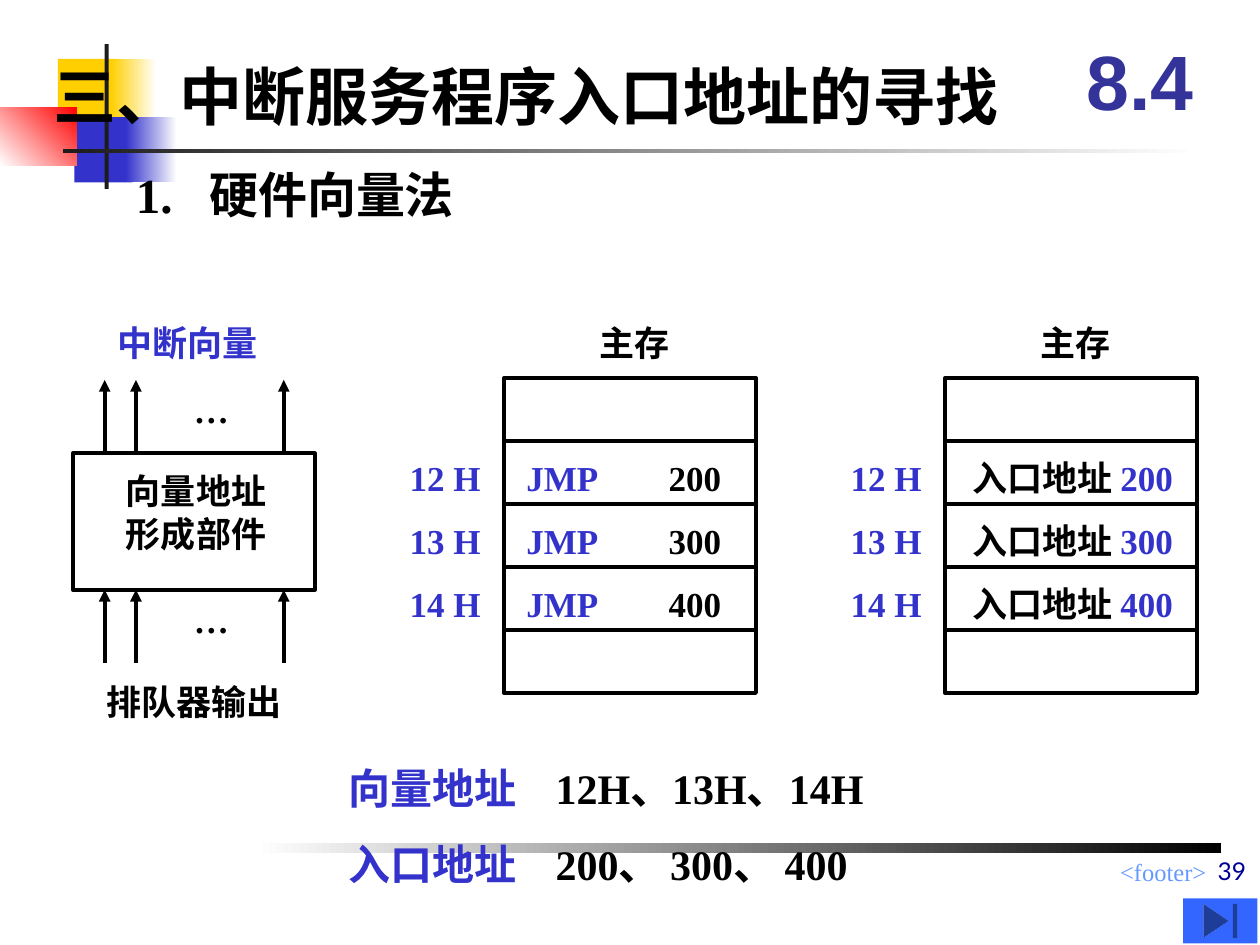
import pptx
import pptx.dml.color
import pptx.enum.shapes
import pptx.enum.text
import pptx.oxml.ns
import pptx.util
from lxml import etree

Cm, Pt = pptx.util.Cm, pptx.util.Pt
RGBColor = pptx.dml.color.RGBColor
MSO_SHAPE = pptx.enum.shapes.MSO_SHAPE
PP_ALIGN = pptx.enum.text.PP_ALIGN
MSO_ANCHOR = pptx.enum.text.MSO_ANCHOR
qn = pptx.oxml.ns.qn

BLACK = RGBColor(0x00, 0x00, 0x00)
WHITE = RGBColor(0xFF, 0xFF, 0xFF)
YELLOW = RGBColor(0xFF, 0xCF, 0x01)
BLUE = RGBColor(0x33, 0x33, 0xCC)
RED = RGBColor(0xFF, 0x00, 0x00)
CHARCOAL = RGBColor(0x1C, 0x1C, 0x1C)
FOOTER_BLUE = RGBColor(0x66, 0x99, 0xFF)
SECTION_BLUE = RGBColor(0x33, 0x33, 0x99)
NUMBER_BLUE = RGBColor(0x00, 0x00, 0x99)
BUTTON_BLUE = RGBColor(0x33, 0x66, 0xFF)

# All positions are (left, top, width, height) in centimetres.
# Decoration: position, start colour, end colour, gradient angle
DECORATION = [
    ((1.17, 1.19, 1.22, 1.32), YELLOW, None, 0),
    ((2.24, 1.19, 0.91, 1.32), YELLOW, WHITE, 0),
    ((1.5, 2.36, 1.17, 1.32), BLUE, None, 0),
    ((2.54, 2.36, 1.02, 1.32), BLUE, WHITE, 0),
    ((0, 2.16, 1.55, 1.17), RED, WHITE, 225),
    ((2.11, 0.89, 0.08, 2.92), CHARCOAL, None, 0),
    ((1.27, 3, 22.86, 0.08), CHARCOAL, WHITE, 0),
    ((5.13, 16.99, 19.48, 0.2), WHITE, BLACK, 0),
]

ADDRESSES = ["12 H", "13 H", "14 H"]
TARGETS = ["200", "300", "400"]
ROW_H, MEMORY_TOP, MEMORY_W, MEMORY_ROWS = 1.27, 7.62, 5.08, 5
# Memory: left edge, entry indent, label, label colour, target colour
MEMORIES = [
    (10.16, 0.2, "JMP\t", BLUE, BLACK),
    (19.05, 0.3, "入口地址 ", BLACK, BLUE),
]

ARROW_XS = [2.11, 2.74, 5.72]
ARROW_H = 1.48
UNIT_BOX = (1.47, 9.14, 4.88, 2.75)

SUMMARY = [
    [("向量地址\t", BLUE), ("12H、13H、14H", BLACK)],
    [("入口地址\t", BLUE), ("200、 300、 400", BLACK)],
]

prs = pptx.Presentation()
prs.slide_width, prs.slide_height = Cm(25.4), Cm(19.05)
s = prs.slides.add_slide(prs.slide_layouts[6])


def add_box(pos, kind=MSO_SHAPE.RECTANGLE):
    sp = s.shapes.add_shape(kind, *map(Cm, pos))
    sp.shadow.inherit = False
    sp.line.fill.background()
    return sp


def add_frame(pos):
    sp = add_box(pos)
    sp.fill.background()
    sp.line.color.rgb = BLACK
    sp.line.width = Pt(2.25)


def add_text(pos, paragraphs, size=20, font="Times New Roman", bold=True,
             align=PP_ALIGN.LEFT, anchor=MSO_ANCHOR.TOP, inset=0.25, before=0, tab=None):
    """Add a text box; each paragraph is a list of (text, colour) runs."""
    tf = s.shapes.add_textbox(*map(Cm, pos)).text_frame
    tf.word_wrap = True
    tf.vertical_anchor = anchor
    tf.margin_left = tf.margin_right = Cm(inset)
    for i, runs in enumerate(paragraphs):
        p = tf.add_paragraph() if i else tf.paragraphs[0]
        p.alignment = align
        p.space_before = Pt(before)
        if tab:
            tabs = etree.SubElement(p._p.get_or_add_pPr(), qn("a:tabLst"))
            etree.SubElement(tabs, qn("a:tab"), pos=str(Cm(tab)), algn="l")
        for text, color in runs:
            r = p.add_run()
            r.text = text
            r.font.size, r.font.name, r.font.bold = Pt(size), font, bold
            r.font.color.rgb = color


def add_up_arrow(x, bottom):
    line = s.shapes.add_connector(pptx.enum.shapes.MSO_CONNECTOR.STRAIGHT,
                                  Cm(x), Cm(bottom), Cm(x), Cm(bottom - ARROW_H))
    line.line.color.rgb = BLACK
    line.line.width = Pt(2.25)
    etree.SubElement(line.line._get_or_add_ln(), qn("a:tailEnd"), type="triangle")
    etree.SubElement(line._element.spPr, qn("a:effectLst"))


for pos, start, end, angle in DECORATION:
    fill = add_box(pos).fill
    if end is None:
        fill.solid()
        fill.fore_color.rgb = start
    else:
        fill.gradient()
        fill.gradient_angle = angle
        for stop, color in zip(fill.gradient_stops, (start, end)):
            stop.color.rgb = color

add_text((9.96, 17.15, 14.61, 0.66), [[("<footer>", FOOTER_BLUE)]], size=14, bold=False,
         align=PP_ALIGN.RIGHT)
add_text((1.07, 1.07, 24.13, 1.7), [[("三、中断服务程序入口地址的寻找", BLACK)]], size=36,
         anchor=MSO_ANCHOR.MIDDLE, inset=0)
add_text((2.74, 3.18, 10.8, 1.47), [[("1.\t硬件向量法", BLACK)]], size=28,
         anchor=MSO_ANCHOR.MIDDLE, inset=0, tab=1.48)

for left, indent, label, label_color, target_color in MEMORIES:
    add_text((left + 1.68, 6.35, 2.2, 1.12), [[("主存", BLACK)]])
    for row in range(MEMORY_ROWS):
        add_frame((left, MEMORY_TOP + row * ROW_H, MEMORY_W, ROW_H))
    for row, (address, target) in enumerate(zip(ADDRESSES, TARGETS), start=1):
        top = MEMORY_TOP + row * ROW_H
        add_text((left - 1.9, top, 1.7, 1.47), [[(address, BLUE)]],
                 anchor=MSO_ANCHOR.MIDDLE, inset=0)
        add_text((left + indent, top + 0.18, MEMORY_W, 1.12),
                 [[(label, label_color), (target, target_color)]], tab=2.87)

add_frame(UNIT_BOX)
add_text((2.29, 9.35, 3.6, 1.96), [[("向量地址", BLACK)], [("形成部件", BLACK)]])
unit_top, unit_bottom = UNIT_BOX[1], UNIT_BOX[1] + UNIT_BOX[3]
for bottom in (unit_top, unit_bottom + ARROW_H):
    for x in ARROW_XS:
        add_up_arrow(x, bottom)
    add_text((3.66, bottom - 1.43, 1.4, 1.12), [[("…", BLACK)]])
add_text((2.11, 6.35, 4.65, 1.12), [[("中断向量", BLUE)]], before=12.5)
add_text((1.9, 13.59, 5.92, 1.12), [[("排队器输出", BLACK)]], before=12.5)

add_text((6.78, 15.24, 18.6, 2.82), SUMMARY, size=24, before=15, tab=4.17)
add_text((21.39, 0.43, 3.18, 2.34), [[("8.4", SECTION_BLUE)]], size=44, font="Arial",
         align=PP_ALIGN.CENTER, anchor=MSO_ANCHOR.MIDDLE)

button = add_box((23.85, 18.11, 1.5, 0.91), MSO_SHAPE.ACTION_BUTTON_END)
button.fill.solid()
button.fill.fore_color.rgb = BUTTON_BLUE
add_text((13.23, 16.71, 12.14, 1.27), [[("39", NUMBER_BLUE)]], size=14, font="Lato",
         bold=False, align=PP_ALIGN.RIGHT, anchor=MSO_ANCHOR.BOTTOM)

prs.save("out.pptx")
